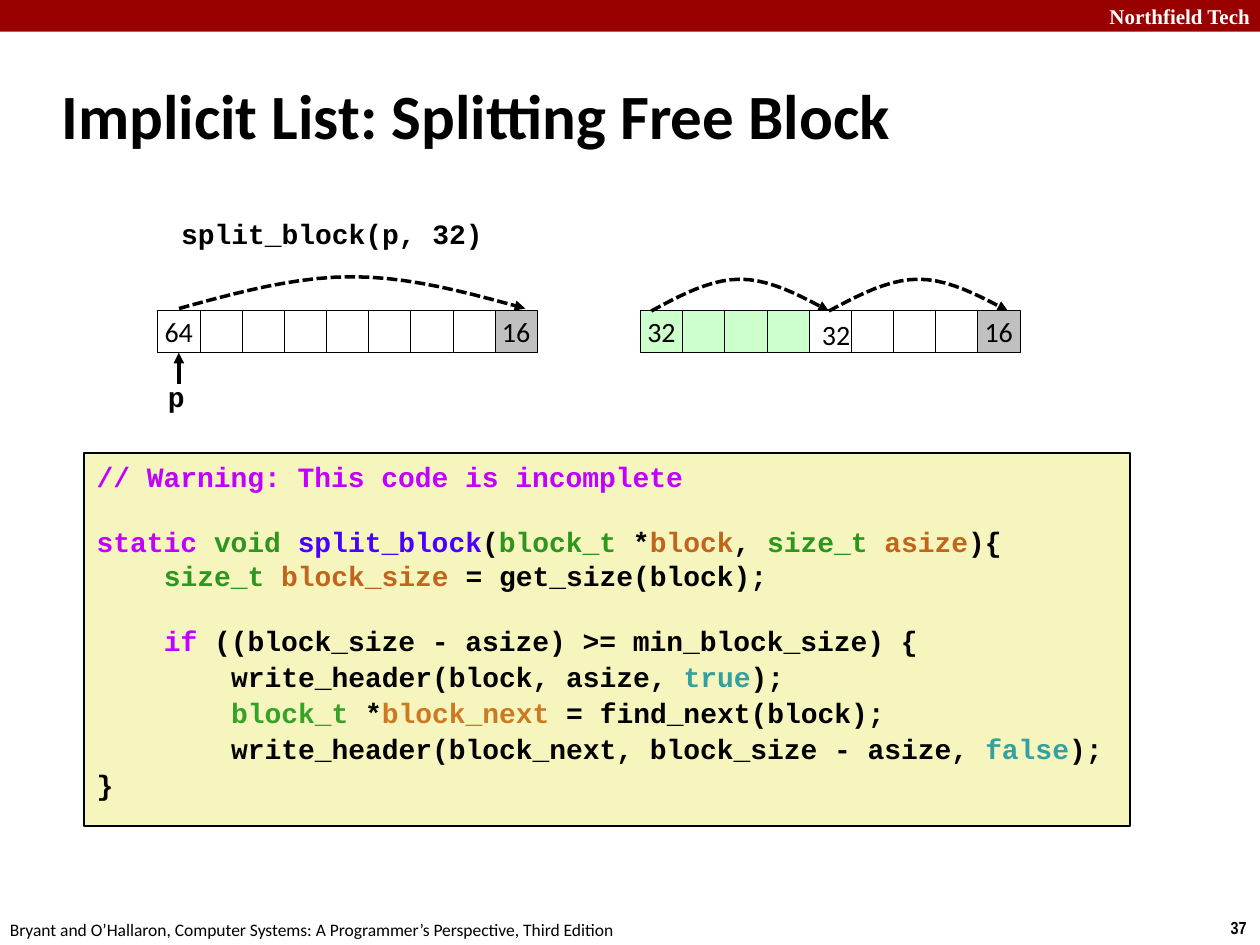
import pptx
import pptx.dml.color
import pptx.enum.dml
import pptx.enum.shapes
import pptx.enum.text
import pptx.oxml.ns
import pptx.oxml.xmlchemy
import pptx.util

Cm, Pt = pptx.util.Cm, pptx.util.Pt
RECT = pptx.enum.shapes.MSO_SHAPE.RECTANGLE
ALIGN = pptx.enum.text.PP_ALIGN
ANCHOR = pptx.enum.text.MSO_ANCHOR

BODY, CODE = "Calibri", "Courier New"
SIDE, TOP = 0.85, 6.26  # cell size and top of both lists
WHITE, GREEN, GRAY, BLACK = "FFFFFF", "CCFFCC", "C0C0C0", "000000"
KEY, TYPE, FUNC, NAME, BOOL = "C200FF", "2D961E", "4A00FF", "C1651C", "34A1A1"
TYPE2, NAME2 = "34A327", "CD7923"

# Each line: indent level, blank line above, line spacing, coloured parts
LINES = [
    (0, False, 1, [("// Warning: This code is incomplete", KEY)]),
    (0, True, 1, [("static ", KEY), ("void ", TYPE), ("split_block", FUNC),
                  ("(", BLACK), ("block_t", TYPE), (" *", BLACK),
                  ("block", NAME), (", ", BLACK), ("size_t ", TYPE),
                  ("asize", NAME), ("){", BLACK)]),
    (1, False, 1, [("size_t ", TYPE), ("block_size", NAME),
                   (" = get_size(block);", BLACK)]),
    (1, True, 1, [("if", KEY),
                  (" ((block_size - asize) >= min_block_size) {", BLACK)]),
    (2, False, 1.07, [("write_header(block, asize, ", BLACK),
                      ("true", BOOL), (");", BLACK)]),
    (2, False, 1.07, [("block_t", TYPE2), (" *", BLACK),
                      ("block_next", NAME2),
                      (" = find_next(block);", BLACK)]),
    (2, False, 1.07, [("write_header(block_next, block_size - asize, ", BLACK),
                      ("false", BOOL), (");", BLACK)]),
    (0, False, 1.07, [("}", BLACK)]),
]


def tint(code):
    return pptx.dml.color.RGBColor.from_string(code)


def add_run(para, text, size=16, font=BODY, color=BLACK, bold=False):
    run = para.add_run()
    run.text = text
    run.font.size, run.font.name, run.font.bold = Pt(size), font, bold
    run.font.color.rgb = tint(color)


def set_frame(shape, anchor=ANCHOR.MIDDLE, inset=0.25, wrap=True):
    frame = shape.text_frame
    frame.word_wrap, frame.vertical_anchor = wrap, anchor
    frame.margin_left = frame.margin_right = Cm(inset)
    frame.margin_top = frame.margin_bottom = Cm(0.13)
    return frame


def put_text(shape, text, align=ALIGN.LEFT, inset=0.25, wrap=True, **form):
    para = set_frame(shape, inset=inset, wrap=wrap).paragraphs[0]
    para.alignment = align
    add_run(para, text, **form)


def add_label(slide, box, text, **form):
    shape = slide.shapes.add_textbox(*map(Cm, box))
    put_text(shape, text, **form)


def add_box(slide, box, fill, width=None):
    shape = slide.shapes.add_shape(RECT, *map(Cm, box))
    shape.shadow.inherit = False
    shape.fill.solid()
    shape.fill.fore_color.rgb = tint(fill)
    if width is None:
        shape.line.fill.background()
    else:
        shape.line.color.rgb = tint(BLACK)
        shape.line.width = Pt(width)
    return shape


def add_cells(slide, left, fills, texts):
    """Draw a row of cells; texts maps a cell's index to its number."""
    cells = []
    for i, fill in enumerate(fills):
        cell = add_box(slide, (left + i * SIDE, TOP, SIDE, SIDE), fill, 0.25)
        if i in texts:
            put_text(cell, texts[i], align=ALIGN.CENTER, wrap=False)
        cells.append(cell)
    return cells


def add_head(shape):
    shape.line.color.rgb = tint(BLACK)
    shape.line.width = Pt(2)
    line = shape._element.spPr.find(pptx.oxml.ns.qn("a:ln"))
    tail = pptx.oxml.xmlchemy.OxmlElement("a:tailEnd")
    tail.set("type", "triangle")
    line.append(tail)


def add_arc(slide, start, end, base, rise=0.64, steps=20):
    """Draw a dashed arc with an arrowhead at its end."""
    points = []
    for i in range(steps + 1):
        part = i / steps
        t = 1 - abs(1 - 2 * part)
        points.append((Cm(start + (end - start) * part),
                       Cm(base - rise * (1.5 * t - 0.5 * t ** 3))))
    build = slide.shapes.build_freeform(*points[0])
    build.add_line_segments(points[1:], close=False)
    arc = build.convert_to_shape()
    arc.shadow.inherit = False
    arc.fill.background()
    arc.line.dash_style = pptx.enum.dml.MSO_LINE.SQUARE_DOT
    add_head(arc)


def add_arrow(slide, cell, start):
    """Point up at the bottom of a cell."""
    mid = cell.left + cell.width // 2
    kind = pptx.enum.shapes.MSO_CONNECTOR.STRAIGHT
    arrow = slide.shapes.add_connector(kind, mid, Cm(start), mid, cell.top)
    arrow.end_connect(cell, 2)
    add_head(arrow)
    arrow._element.spPr.append(
        pptx.oxml.xmlchemy.OxmlElement("a:effectLst"))


def add_code(slide, box):
    shape = add_box(slide, box, "F6F5BD", 1)
    frame = set_frame(shape, anchor=ANCHOR.TOP)
    for i, (level, gap, space, parts) in enumerate(LINES):
        para = frame.add_paragraph() if i else frame.paragraphs[0]
        para.alignment = ALIGN.LEFT
        para.line_spacing = float(space)
        para.space_before = Pt(18 if gap else 0)
        # Four characters of code per level
        props = para._p.get_or_add_pPr()
        props.set("marL", str(Pt(38.4 * level)))
        props.set("indent", "0")
        for text, color in parts:
            add_run(para, text, font=CODE, color=color, bold=True)


def main():
    deck = pptx.Presentation()
    deck.slide_width, deck.slide_height = Cm(25.4), Cm(19.05)
    slide = deck.slides.add_slide(deck.slide_layouts[5])

    # Header band and footer
    add_box(slide, (0, 0, 25.4, 0.64), "990000")
    add_label(slide, (21.4, 0, 4, 0.64), "Northfield Tech", align=ALIGN.RIGHT,
              inset=0.2, size=12, font="Times New Roman", color=WHITE,
              bold=True)
    add_label(slide, (24.54, 18.36, 0.86, 0.69), "37", align=ALIGN.CENTER,
              inset=0.1, size=10, font="Arial Narrow", bold=True)
    add_label(slide, (0, 18.42, 12.9, 0.63),
              "Bryant and O’Hallaron, Computer Systems: "
              "A Programmer’s Perspective, Third Edition",
              inset=0.2, size=10)

    # Title
    title = slide.shapes.title
    title.left, title.top = Cm(0.99), Cm(1.24)
    title.width, title.height = Cm(21.08), Cm(2.11)
    put_text(title, "Implicit List: Splitting Free Block", size=36, bold=True)

    # List before the split, with its pointer
    add_label(slide, (3.48, 4.27, 6.43, 0.86), "split_block(p, 32)",
              align=ALIGN.CENTER, inset=0.13, font=CODE, bold=True)
    cells = add_cells(slide, 3.18, [WHITE] * 8 + [GRAY], {0: "64", 8: "16"})
    add_arc(slide, 3.61, 10.59, 6.22)
    add_arrow(slide, cells[0], 7.75)
    add_label(slide, (3.15, 7.52, 0.81, 0.94), "p", align=ALIGN.CENTER,
              inset=0.1, font=CODE, bold=True)

    # List after the split
    add_cells(slide, 12.91, [GREEN] * 4 + [WHITE] * 4 + [GRAY],
              {0: "32", 8: "16"})
    add_label(slide, (16.31, 6.26, 1.09, 0.94), "32", align=ALIGN.CENTER,
              inset=0.1)
    for start, end in ((13.13, 16.71), (16.71, 20.32)):
        add_arc(slide, start, end, 6.27)

    # Code
    add_code(slide, (1.7, 9.14, 21.08, 7.52))
    deck.save("out.pptx")


if __name__ == "__main__":
    main()
